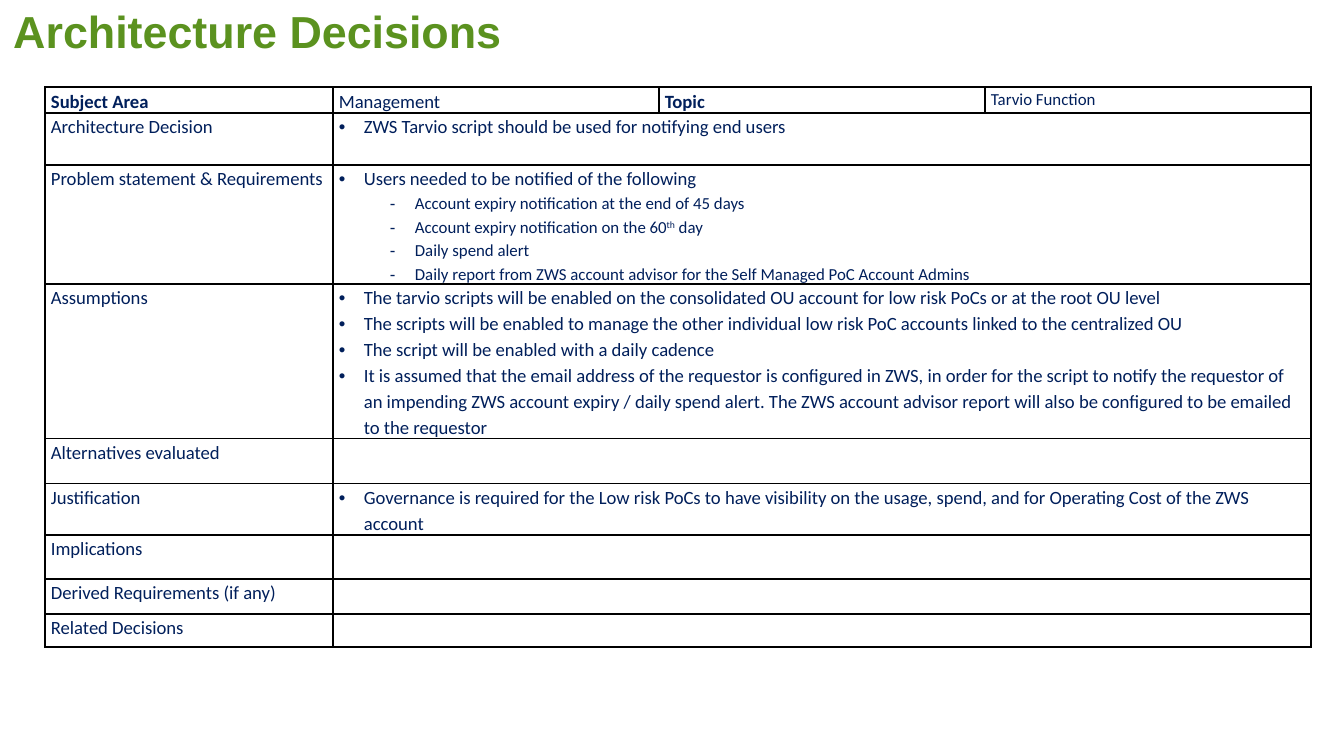
from lxml import etree
from pptx import Presentation
from pptx.dml.color import RGBColor
from pptx.oxml.ns import qn
from pptx.util import Emu, Pt

PX = 9144000 / 1344
SLIDE_WIDTH, SLIDE_HEIGHT = 1344, 756
GREEN = RGBColor(0x5B, 0x92, 0x1F)
NAVY = RGBColor(0x00, 0x1F, 0x5B)
BLACK = RGBColor(0x00, 0x00, 0x00)

TITLE_BOX = (0, -3, 1038, 67)
TABLE_BOX = (45, 87, 1266, 561)
LABEL_WIDTH = 288
CELL_MARGIN = 6
HANGING = 25
LINE_SPACING = 1.15
BULLETS = {0: ("•", 25), 1: ("-", 76)}

TITLE_FONT = {"name": "Arial", "size": Pt(24), "bold": True}
BODY_FONT = {"name": "Calibri", "size": Pt(10), "bold": False}
BOLD_FONT = {**BODY_FONT, "bold": True}
SMALL_FONT = {**BODY_FONT, "size": Pt(9)}

HEADER_HEIGHT = 25
HEADER = [
    ("Subject Area", BOLD_FONT),
    ("Management", BODY_FONT),
    ("Topic", BOLD_FONT),
    ("Tarvio Function", SMALL_FONT),
]
# Row height, label, and bullets as (level, text); "^" sets off a superscript.
ROWS = [
    (52, "Architecture Decision", [
        (0, "ZWS Tarvio script should be used for notifying end users"),
    ]),
    (119, "Problem statement & Requirements", [
        (0, "Users needed to be notified of the following"),
        (1, "Account expiry notification at the end of 45 days"),
        (1, "Account expiry notification on the 60^th^ day"),
        (1, "Daily spend alert"),
        (1, "Daily report from ZWS account advisor for the Self Managed PoC Account Admins"),
    ]),
    (154, "Assumptions", [
        (0, "The tarvio scripts will be enabled on the consolidated OU account for "
            "low risk PoCs or at the root OU level"),
        (0, "The scripts will be enabled to manage the other individual low risk PoC "
            "accounts linked to the centralized OU"),
        (0, "The script will be enabled with a daily cadence"),
        (0, "It is assumed that the email address of the requestor is configured in ZWS, "
            "in order for the script to notify the requestor of an impending ZWS account "
            "expiry / daily spend alert. The ZWS account advisor report will also be "
            "configured to be emailed to the requestor"),
    ]),
    (45, "Alternatives evaluated", []),
    (51, "Justification", [
        (0, "Governance is required for the Low risk PoCs to have visibility on the usage, "
            "spend, and for Operating Cost of the ZWS account"),
    ]),
    (44, "Implications", []),
    (35, "Derived Requirements (if any)", []),
    (33, "Related Decisions", []),
]


def px(length):
    return Emu(round(length * PX))


def add_text(paragraph, text, font, color):
    """Add runs; every second part between "^" marks is superscript."""
    for index, part in enumerate(text.split("^")):
        run = paragraph.add_run()
        run.text = part
        for name, value in font.items():
            setattr(run.font, name, value)
        run.font.color.rgb = color
        if index % 2:
            run.font._element.set("baseline", "30000")


def add_title(slide, box):
    shape = slide.shapes.add_textbox(*map(px, box))
    shape.text_frame.word_wrap = True
    add_text(shape.text_frame.paragraphs[0], "Architecture Decisions", TITLE_FONT, GREEN)


def format_cell(cell):
    """Set margins, black borders, no fill and a small size for empty text."""
    margins = {"margin_left": CELL_MARGIN, "margin_right": CELL_MARGIN,
               "margin_top": 0, "margin_bottom": 0}
    for name, value in margins.items():
        setattr(cell, name, px(value))
    properties = cell._tc.get_or_add_tcPr()
    for side in ("a:lnL", "a:lnR", "a:lnT", "a:lnB"):
        line = etree.SubElement(properties, qn(side), w=str(Pt(1)))
        fill = etree.SubElement(line, qn("a:solidFill"))
        etree.SubElement(fill, qn("a:srgbClr"), val=str(BLACK))
    cell.fill.background()
    paragraph = cell.text_frame.paragraphs[0]
    etree.SubElement(paragraph._p, qn("a:endParaRPr"), sz="1000")


def write_label(cell, text, font=BODY_FONT):
    paragraph = cell.text_frame.paragraphs[0]
    paragraph.line_spacing = LINE_SPACING
    add_text(paragraph, text, font, NAVY)


def write_bullets(cell, items):
    frame = cell.text_frame
    for index, (level, text) in enumerate(items):
        paragraph = frame.add_paragraph() if index else frame.paragraphs[0]
        paragraph.level = level
        paragraph.line_spacing = LINE_SPACING
        symbol, indent = BULLETS[level]
        properties = paragraph._p.get_or_add_pPr()
        properties.set("marL", str(px(indent)))
        properties.set("indent", str(px(-HANGING)))
        etree.SubElement(properties, qn("a:buFont"), typeface="Arial")
        etree.SubElement(properties, qn("a:buChar"), char=symbol)
        add_text(paragraph, text, SMALL_FONT if level else BODY_FONT, NAVY)


def add_decision_table(slide, box):
    width = box[2]
    columns = len(HEADER)
    frame = slide.shapes.add_table(len(ROWS) + 1, columns, *map(px, box))
    table = frame.table
    table.first_row = table.horz_banding = False
    value_width = (width - LABEL_WIDTH) // (columns - 1)
    for index, column in enumerate(table.columns):
        column.width = px(value_width if index else LABEL_WIDTH)
    for cell in table.iter_cells():
        format_cell(cell)

    table.rows[0].height = px(HEADER_HEIGHT)
    for index, (text, font) in enumerate(HEADER):
        write_label(table.cell(0, index), text, font)
    for index, (height, label, items) in enumerate(ROWS, start=1):
        table.rows[index].height = px(height)
        write_label(table.cell(index, 0), label)
        content = table.cell(index, 1)
        content.merge(table.cell(index, columns - 1))
        write_bullets(content, items)


def main():
    presentation = Presentation()
    presentation.slide_width = px(SLIDE_WIDTH)
    presentation.slide_height = px(SLIDE_HEIGHT)
    slide = presentation.slides.add_slide(presentation.slide_layouts[6])
    add_title(slide, TITLE_BOX)
    add_decision_table(slide, TABLE_BOX)
    presentation.save("out.pptx")


if __name__ == "__main__":
    main()
